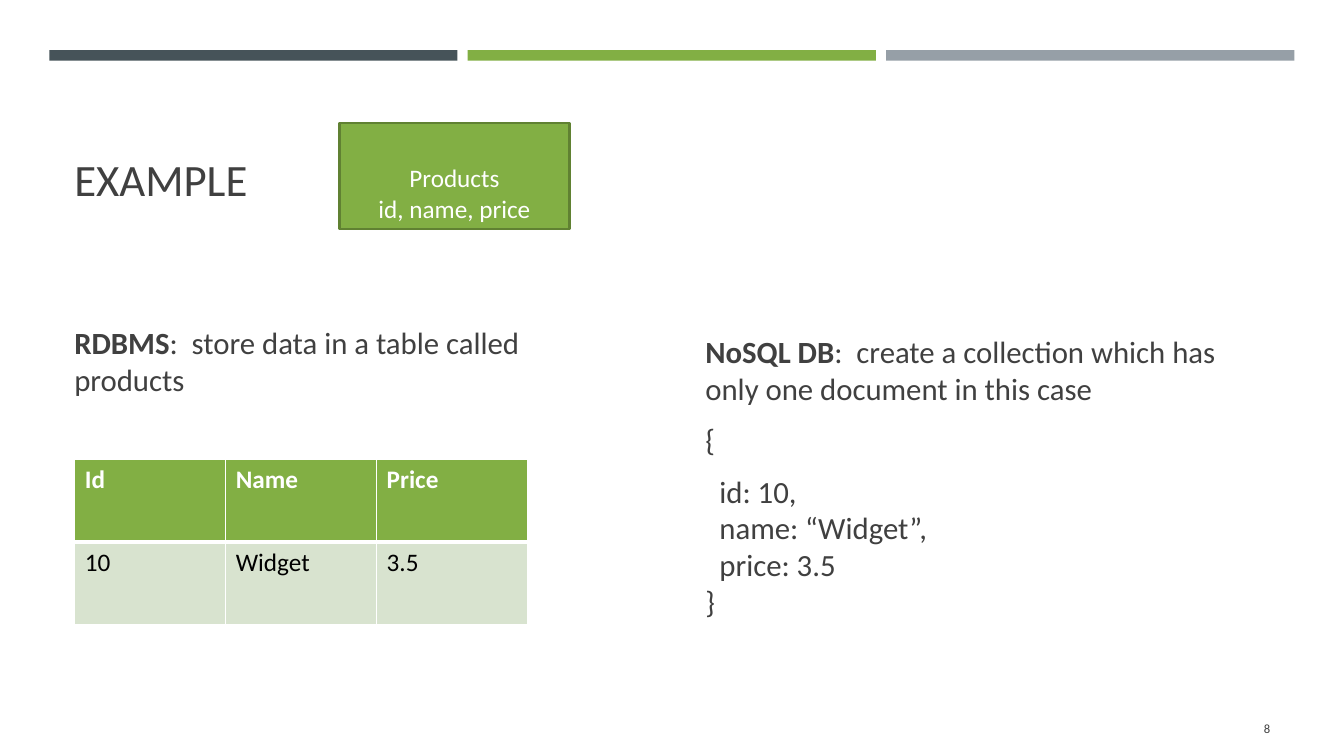
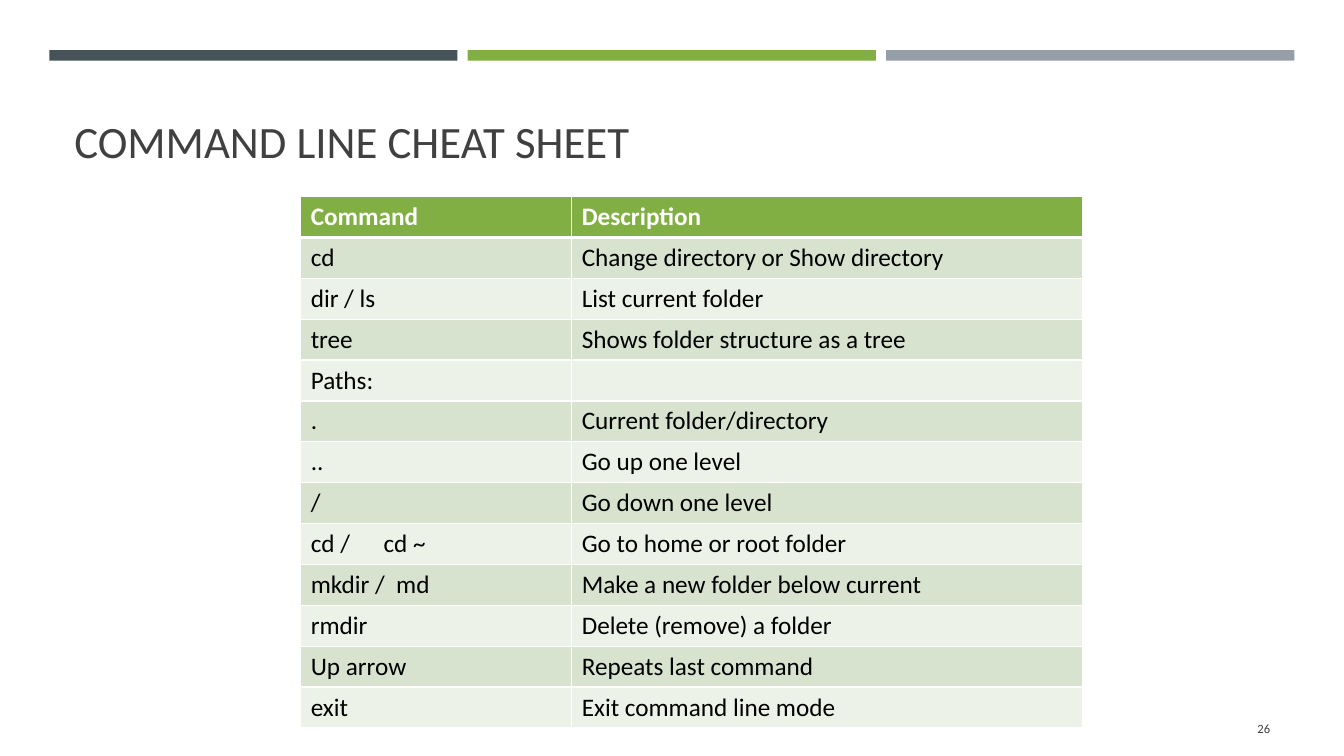
from lxml import etree
from pptx import Presentation
from pptx.dml.color import RGBColor
from pptx.enum.shapes import MSO_SHAPE
from pptx.enum.text import MSO_ANCHOR, PP_ALIGN
from pptx.oxml.ns import qn
from pptx.util import Pt

RECT = MSO_SHAPE.RECTANGLE
TOP, MID, LOW = MSO_ANCHOR.TOP, MSO_ANCHOR.MIDDLE, MSO_ANCHOR.BOTTOM
LEFT, MIDST, RIGHT = PP_ALIGN.LEFT, PP_ALIGN.CENTER, PP_ALIGN.RIGHT

FONT = "Calibri"
HUES = {
    "slate": "465359", "green": "82AF44", "grey": "969FA7",
    "moss": "608132", "text": "404040", "black": "000000",
    "white": "FFFFFF", "odd": "D8E3CF", "even": "EDF2E9",
}
BARS = ["slate", "green", "grey"]
GAP, STEP = 10.4, 10

MODEL = ["Products", "id, name, price"]
SQL = [([("RDBMS", True), (":  store data in a table called products", False)], 0, 0)]
DOC = [
    ([("NoSQL DB", True),
      (":  create a collection which has only one document in this case", False)], 0, GAP),
    ([("{", False)], 0, GAP),
    ([("id: 10,", False)], STEP, 0),
    ([("name: “Widget”,", False)], STEP, 0),
    ([("price: 3.5", False)], STEP, 0),
    ([("}", False)], 0, 0),
]
GOODS = [("Id", "Name", "Price"), ("10", "Widget", "3.5")]
CHEATS = [
    ("Command", "Description"),
    ("cd", "Change directory or Show directory"),
    ("dir / ls", "List current folder"),
    ("tree", "Shows folder structure as a tree"),
    ("Paths:", ""),
    (".", "Current folder/directory"),
    ("..", "Go up one level"),
    ("/", "Go down one level"),
    ("cd /\tcd ~", "Go to home or root folder"),
    ("mkdir /  md", "Make a new folder below current"),
    ("rmdir", "Delete (remove) a folder"),
    ("Up arrow", "Repeats last command"),
    ("exit", "Exit command line mode"),
]


def hue(name):
    return RGBColor.from_string(HUES[name])


def write(para, text, size, tint="text", bold=False):
    run = para.add_run()
    run.text = text
    font = run.font
    font.name, font.size, font.bold = FONT, Pt(size), bold
    font.color.rgb = hue(tint)


def block(slide, box, fill, edge=None):
    shape = slide.shapes.add_shape(RECT, *map(Pt, box))
    shape.shadow.inherit = False
    shape.fill.solid()
    shape.fill.fore_color.rgb = hue(fill)
    if edge:
        shape.line.color.rgb = hue(edge)
        shape.line.width = Pt(1.75)
    else:
        shape.line.fill.background()
    return shape


def fill_text(frame, paras, size, tint="text", align=LEFT, anchor=TOP, foot=3.6):
    frame.word_wrap = True
    frame.vertical_anchor = anchor
    frame.margin_bottom = Pt(foot)
    for i, (runs, dent, after) in enumerate(paras):
        para = frame.add_paragraph() if i else frame.paragraphs[0]
        para.alignment = align
        para.space_after = Pt(after)
        if dent:
            para._p.get_or_add_pPr().set("marL", str(Pt(dent)))
        for text, bold in runs:
            write(para, text, size, tint, bold)


def label(slide, box, paras, size, **style):
    frame = slide.shapes.add_textbox(*map(Pt, box)).text_frame
    fill_text(frame, paras, size, **style)


def plain(text):
    return ([(text, False)], 0, 0)


def border(cell, row):
    props = cell._tc.get_or_add_tcPr()
    for i, side in enumerate(("lnL", "lnR", "lnT", "lnB")):
        thick = (row, side) in ((0, "lnB"), (1, "lnT"))
        line = etree.Element(qn("a:" + side), w=str(Pt(3 if thick else 1)))
        paint = etree.SubElement(line, qn("a:solidFill"))
        etree.SubElement(paint, qn("a:srgbClr"), val=HUES["white"])
        props.insert(i, line)


def set_tab(para, pos):
    stops = etree.SubElement(para._p.get_or_add_pPr(), qn("a:tabLst"))
    etree.SubElement(stops, qn("a:tab"), pos=str(Pt(pos)), algn="l")


def grid(slide, x, y, cols, high, rows):
    size = (sum(cols), high * len(rows))
    table = slide.shapes.add_table(
        len(rows), len(cols), *map(Pt, (x, y, *size))).table
    for col, wide in zip(table.columns, cols):
        col.width = Pt(wide)
    for r, texts in enumerate(rows):
        table.rows[r].height = Pt(high)
        fill = "green" if r == 0 else "odd" if r % 2 else "even"
        for c, text in enumerate(texts):
            cell = table.cell(r, c)
            cell.fill.solid()
            cell.fill.fore_color.rgb = hue(fill)
            border(cell, r)
            para = cell.text_frame.paragraphs[0]
            if "\t" in text:
                set_tab(para, 52)
            if text:
                write(para, text, 18, "black" if r else "white", r == 0)


def start(deck, title, base, num):
    slide = deck.slides.add_slide(deck.slide_layouts[6])
    for i, fill in enumerate(BARS):
        block(slide, (35.2 + 298.9 * i, 35.8, 291.6, 7.5), fill)
    label(slide, (46, 55.4, 868.3, base - 55.4), [plain(title)], 32,
          anchor=LOW, foot=2.2)
    label(slide, (831.6, 506.2, 82.8, 28.8), [plain(num)], 9,
          align=RIGHT, anchor=MID)
    return slide


deck = Presentation()
deck.slide_width, deck.slide_height = Pt(960), Pt(540)

page = start(deck, "EXAMPLE", 149, "8")
label(page, (46, 228, 410.4, 64), SQL, 22)
model = block(page, (242.5, 88, 164.2, 75.6), "green", "moss")
fill_text(model.text_frame, [plain(t) for t in MODEL], 18,
          tint="white", align=MIDST, anchor=LOW, foot=4.2)
label(page, (496.8, 233.8, 410.4, 215), DOC, 22)
grid(page, 53.5, 328.4, [107.8] * 3, 59, GOODS)

page = start(deck, "COMMAND LINE CHEAT SHEET", 121.7, "26")
grid(page, 214.8, 140.4, [193.6, 365], 29.2, CHEATS)

deck.save("out.pptx")
